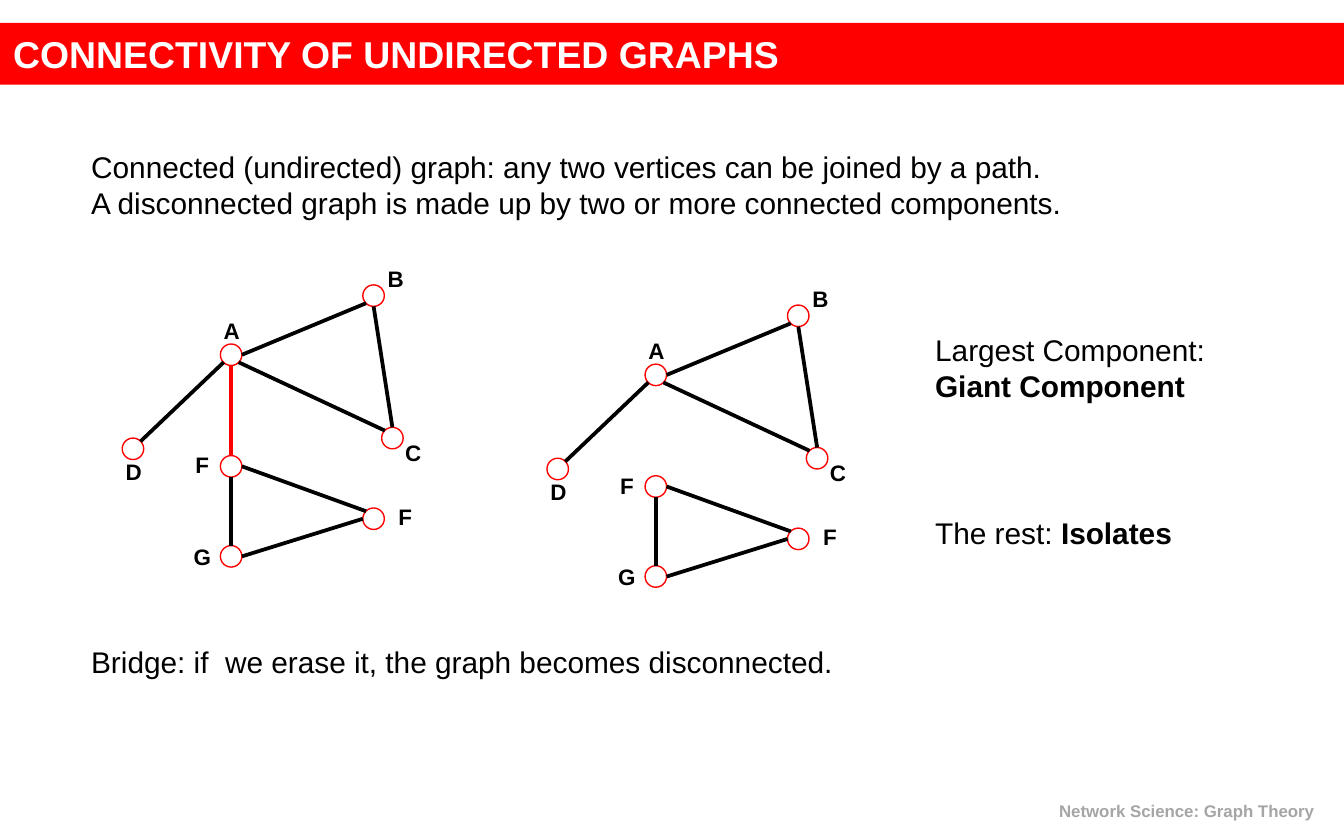
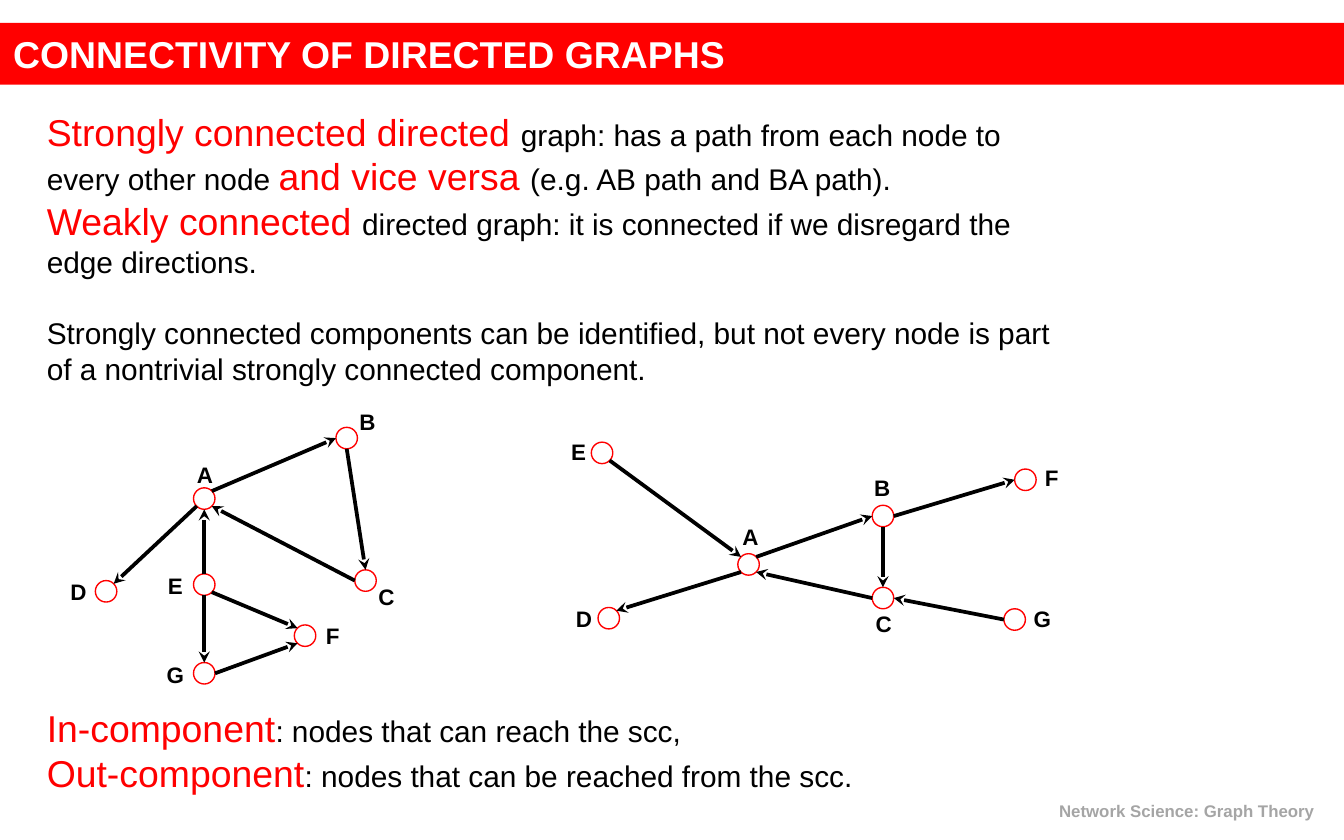
"""Build two slides on the connectivity of undirected and directed graphs."""
from lxml.etree import SubElement
from pptx import Presentation
from pptx.dml.color import RGBColor
from pptx.enum.shapes import MSO_CONNECTOR, MSO_SHAPE
from pptx.enum.text import MSO_ANCHOR, PP_ALIGN
from pptx.oxml.ns import qn
from pptx.util import Inches, Pt

RED = RGBColor(0xFF, 0x00, 0x00)
BLACK = RGBColor(0x00, 0x00, 0x00)
WHITE = RGBColor(0xFF, 0xFF, 0xFF)
GRAY = RGBColor(0xA5, 0xA5, 0xA5)

BODY = {"size": Pt(16), "color": BLACK}
STRONG = {**BODY, "bold": True}
KEY = {"size": Pt(20), "color": RED}
TITLE = {"size": Pt(20), "color": WHITE, "bold": True}
LABEL = {"size": Pt(12), "color": BLACK, "bold": True}
FOOTER = {"size": Pt(9), "color": GRAY, "bold": True}

FOOTER_TEXT = "Network Science: Graph Theory "
RADIUS = 0.08
DIAGONAL = 0.7 * RADIUS
SITES = {
    "N": (0, -RADIUS), "S": (0, RADIUS), "W": (-RADIUS, 0), "E": (RADIUS, 0),
    "NW": (-DIAGONAL, -DIAGONAL), "NE": (DIAGONAL, -DIAGONAL),
    "SW": (-DIAGONAL, DIAGONAL), "SE": (DIAGONAL, DIAGONAL),
}

# Each node: centre x, centre y, then the label's offset from that centre.
UNDIRECTED_NODES = {
    "A": (1.72, 2.64, -0.13, -0.28), "B": (2.78, 2.2, 0.03, -0.23),
    "C": (2.92, 3.26, 0.02, 0.01), "D": (0.99, 3.34, -0.13, 0.07),
    "F": (1.72, 3.47, -0.35, -0.11), "G": (1.72, 4.14, -0.35, -0.1),
    "F right": (2.78, 3.86, 0.1, -0.12),
}
UNDIRECTED_EDGES = [
    ("D", "NE", "A", "SW"), ("A", "E", "B", "SW"), ("C", "N", "B", "S"),
    ("A", "SE", "C", "NW"), ("F", "E", "F right", "NW"),
    ("G", "E", "F right", "W"), ("G", "N", "F", "S"),
]
BRIDGE = ("F", "N", "A", "S")
DISCONNECTED_SHIFT = (3.16, 0.15)

WEAK_NODES = {
    "A": (1.52, 3.71, -0.13, -0.28), "B": (2.58, 3.26, 0.02, -0.22),
    "C": (2.72, 4.32, 0.02, 0.02), "D": (0.79, 4.4, -0.34, -0.1),
    "E": (1.52, 4.35, -0.35, -0.09), "F": (2.27, 4.73, 0.07, -0.1),
    "G": (1.52, 5.01, -0.35, -0.09),
}
WEAK_EDGES = [
    ("A", "SW", "D", "NE"), ("A", "NE", "B", "W"), ("B", "S", "C", "N"),
    ("C", "W", "A", "SE"), ("G", "E", "F", "SW"), ("E", "SE", "F", "NW"),
    ("E", "S", "G", "N"), ("E", "N", "A", "S"),
]
COMPONENT_NODES = {
    "A": (5.57, 4.2, -0.12, -0.31), "B": (6.57, 3.84, -0.14, -0.31),
    "C": (6.57, 4.45, -0.13, 0.09), "D": (4.53, 4.6, -0.32, -0.1),
    "E": (4.48, 3.37, -0.31, -0.11), "F": (7.63, 3.57, 0.06, -0.12),
    "G": (7.55, 4.61, 0.07, -0.11),
}
COMPONENT_EDGES = [
    ("E", "SE", "A", "NW"), ("A", "NE", "B", "W"), ("B", "S", "C", "N"),
    ("C", "W", "A", "SE"), ("G", "W", "C", "E"), ("B", "E", "F", "W"),
    ("A", "SW", "D", "NE"),
]

SLIDES = [
    {
        "title": "CONNECTIVITY OF UNDIRECTED GRAPHS",
        "texts": [
            ((0.58, 1.06, 7.51, 0.64), [
                [("Connected (undirected) graph: any two vertices can be joined by a path.", BODY)],
                [("A disconnected graph is made up by two or more connected components.", BODY)],
            ]),
            ((0.58, 4.74, 5.79, 0.37), [
                [("Bridge: if  we erase it, the graph becomes disconnected.", BODY)],
            ]),
            ((6.86, 2.42, 2.24, 0.64), [
                [("Largest Component:", BODY)],
                [("Giant Component", STRONG)],
            ]),
            ((6.86, 3.78, 1.99, 0.37), [[("The rest: ", BODY), ("Isolates", STRONG)]]),
        ],
        "graphs": [
            {"nodes": UNDIRECTED_NODES, "edges": UNDIRECTED_EDGES, "bridge": BRIDGE},
            {"nodes": UNDIRECTED_NODES, "edges": UNDIRECTED_EDGES, "shift": DISCONNECTED_SHIFT},
        ],
    },
    {
        "title": "CONNECTIVITY OF DIRECTED GRAPHS",
        "texts": [
            ((0.25, 0.76, 7.76, 2.19), [
                [("Strongly connected directed ", KEY), ("graph: has a path from each node to", BODY)],
                [("every other node ", BODY), ("and vice versa ", KEY),
                 ("(e.g. AB path and BA path).", BODY)],
                [("Weakly connected ", KEY),
                 ("directed graph: it is connected if we disregard the", BODY)],
                [("edge directions.", BODY)],
                [("Strongly connected components can be identified, but not every node is part", BODY)],
                [("of a nontrivial strongly connected component.", BODY)],
            ]),
            ((0.25, 5.2, 8.33, 0.77), [
                [("In-component", KEY), (": nodes that can reach the scc,", BODY)],
                [("Out-component", KEY), (": nodes that can be reached from the scc.", BODY)],
            ]),
        ],
        "gap_before": "Strongly connected components",
        "graphs": [
            {"nodes": WEAK_NODES, "edges": WEAK_EDGES, "directed": True},
            {"nodes": COMPONENT_NODES, "edges": COMPONENT_EDGES, "directed": True},
        ],
    },
]


def write(shape, paragraphs, align=PP_ALIGN.LEFT, gap_before=None):
    """Fill a shape with paragraphs of (text, format) runs."""
    frame = shape.text_frame
    frame.word_wrap = True
    for index, runs in enumerate(paragraphs):
        paragraph = frame.add_paragraph() if index else frame.paragraphs[0]
        paragraph.alignment = align
        if gap_before and runs[0][0].startswith(gap_before) and index:
            paragraph.space_before = Pt(19)
        for text, style in runs:
            run = paragraph.add_run()
            run.text = text
            run.font.name = "Arial"
            for name, value in style.items():
                if name == "color":
                    run.font.color.rgb = value
                else:
                    setattr(run.font, name, value)
    return frame


def add_text(slide, box, paragraphs, **options):
    """Add a text box at a box given in inches."""
    return write(slide.shapes.add_textbox(*map(Inches, box)), paragraphs, **options)


def add_edge(slide, nodes, edge, shift, color=BLACK, directed=False):
    """Draw one edge between two sites on the rims of its nodes."""
    points = []
    for name, site in (edge[:2], edge[2:]):
        points += [sum(parts) for parts in zip(nodes[name][:2], SITES[site], shift)]
    connector = slide.shapes.add_connector(MSO_CONNECTOR.STRAIGHT, *map(Inches, points))
    connector.line.color.rgb = color
    connector.line.width = Pt(2)
    if directed:
        SubElement(connector.line._get_or_add_ln(), qn("a:tailEnd"), type="stealth")
    SubElement(connector._element.spPr, qn("a:effectLst"))


def add_graph(slide, nodes, edges, shift=(0, 0), bridge=None, directed=False):
    """Draw nodes, their labels and the edges."""
    for name, (x, y, label_x, label_y) in nodes.items():
        x, y = x + shift[0], y + shift[1]
        circle = slide.shapes.add_shape(
            MSO_SHAPE.OVAL, *map(Inches, (x - RADIUS, y - RADIUS, 2 * RADIUS, 2 * RADIUS)))
        circle.shadow.inherit = False
        circle.fill.background()
        circle.line.color.rgb = RED
        circle.line.width = Pt(0.75)
        frame = add_text(slide, (x + label_x, y + label_y, 0.27, 0.2),
                         [[(name[0], LABEL)]], align=PP_ALIGN.CENTER)
        frame.margin_left = frame.margin_right = Inches(0.03)
        frame.margin_top = frame.margin_bottom = 0
    for edge in edges:
        add_edge(slide, nodes, edge, shift, directed=directed)
    if bridge:
        add_edge(slide, nodes, bridge, shift, color=RED)


def add_slide(presentation, content):
    """Add a slide with its title band, texts, graphs and footer."""
    slide = presentation.slides.add_slide(presentation.slide_layouts[6])
    for box, paragraphs in content["texts"]:
        add_text(slide, box, paragraphs, gap_before=content.get("gap_before"))
    add_text(slide, (7.08, 5.91, 2.83, 0.25), [[(FOOTER_TEXT, FOOTER)]], align=PP_ALIGN.RIGHT)
    band = slide.shapes.add_shape(MSO_SHAPE.RECTANGLE, *map(Inches, (0, 0.17, 10, 0.46)))
    band.shadow.inherit = False
    band.fill.solid()
    band.fill.fore_color.rgb = RED
    band.line.fill.background()
    write(band, [[(content["title"], TITLE)]]).vertical_anchor = MSO_ANCHOR.MIDDLE
    for graph in content["graphs"]:
        add_graph(slide, **graph)


def main():
    """Build and save the presentation."""
    presentation = Presentation()
    presentation.slide_width = Inches(10)
    presentation.slide_height = Inches(6.25)
    for content in SLIDES:
        add_slide(presentation, content)
    presentation.save("out.pptx")


if __name__ == "__main__":
    main()
